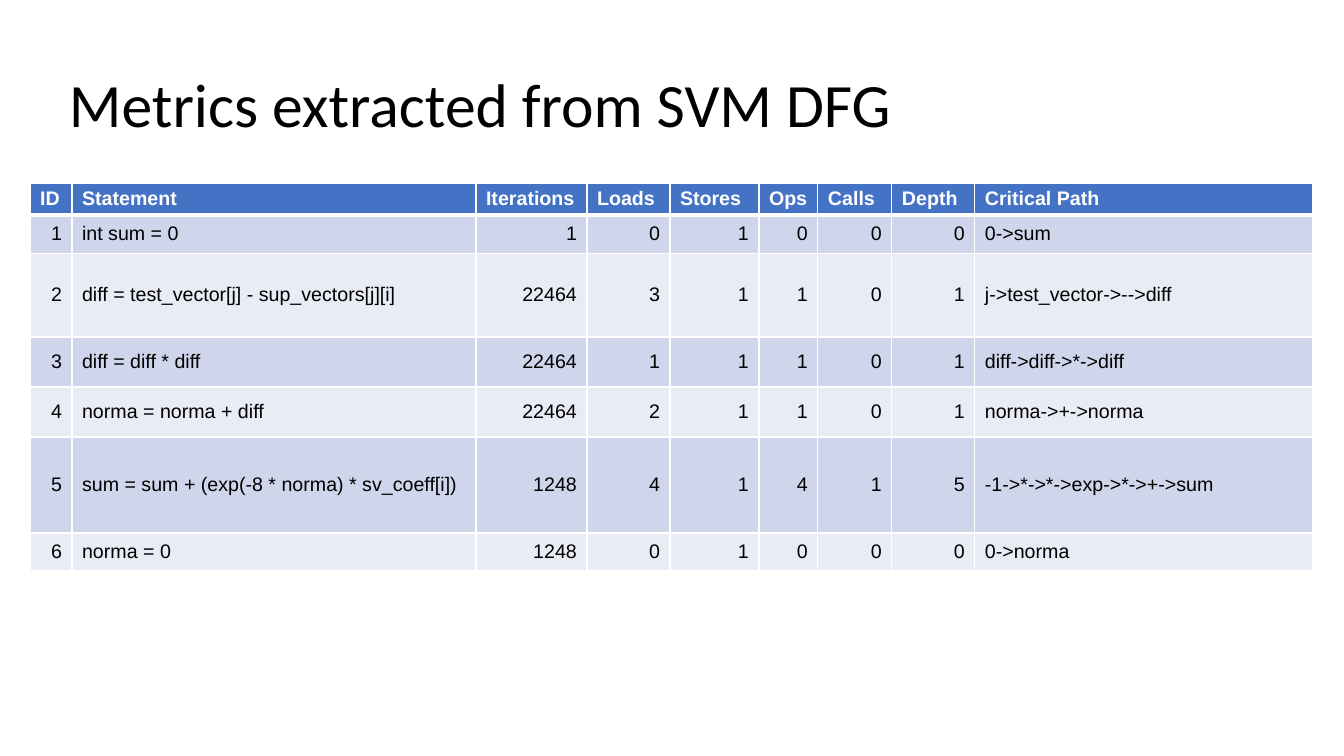
from lxml import etree
from pptx import Presentation, util as u
from pptx.dml.color import RGBColor
from pptx.enum import text
from pptx.oxml.ns import qn

TITLE = "Metrics extracted from SVM DFG"
ROWS = [
    ("ID", "Statement", "Iterations", "Loads", "Stores", "Ops", "Calls", "Depth", "Critical Path"),
    (1, "int sum = 0", 1, 0, 1, 0, 0, 0, "0->sum"),
    (2, "diff = test_vector[j] - sup_vectors[j][i]", 22464, 3, 1, 1, 0, 1, "j->test_vector->-->diff"),
    (3, "diff = diff * diff", 22464, 1, 1, 1, 0, 1, "diff->diff->*->diff"),
    (4, "norma = norma + diff", 22464, 2, 1, 1, 0, 1, "norma->+->norma"),
    (5, "sum = sum + (exp(-8 * norma) * sv_coeff[i])", 1248, 4, 1, 4, 1, 5, "-1->*->*->exp->*->+->sum"),
    (6, "norma = 0", 1248, 0, 1, 0, 0, 0, "0->norma"),
]
WIDTHS = (42, 404, 111, 83, 89, 59, 74, 83, 338)
HEIGHTS = (32, 38, 84, 50, 50, 96, 38)
HEAD, BANDS = "4472C4", ("E9EBF5", "CFD5EA")
WHITE, BLACK = "FFFFFF", "000000"


def px(n):
    return u.Emu(round(n * 914400 / 100.8))


def style(par, font, size, color, bold=False):
    for run in par.runs:
        run.font.name, run.font.size, run.font.bold = font, u.Pt(size), bold
        run.font.color.rgb = RGBColor.from_string(color)


def border(cell, row):
    """Draw white cell edges, thick between the header and the body."""
    props = cell._tc.get_or_add_tcPr()
    for side in "LRTB":
        thick = (row, side) in ((0, "B"), (1, "T"))
        line = etree.SubElement(props, qn("a:ln" + side), w=str(u.Pt(3 if thick else 1)))
        fill = etree.SubElement(line, qn("a:solidFill"))
        etree.SubElement(fill, qn("a:srgbClr"), val=WHITE)


prs = Presentation()
prs.slide_width, prs.slide_height = px(1344), px(756)
slide = prs.slides.add_slide(prs.slide_layouts[6])

grid = slide.shapes.add_table(len(ROWS), len(WIDTHS), px(30), px(183),
                              px(sum(WIDTHS)), px(sum(HEIGHTS))).table
for col, width in zip(grid.columns, WIDTHS):
    col.width = px(width)
for r, (values, height) in enumerate(zip(ROWS, HEIGHTS)):
    grid.rows[r].height = px(height)
    for c, value in enumerate(values):
        cell = grid.cell(r, c)
        cell.text = str(value)
        cell.vertical_anchor = text.MSO_ANCHOR.MIDDLE
        border(cell, r)
        cell.fill.solid()
        cell.fill.fore_color.rgb = RGBColor.from_string(BANDS[r % 2] if r else HEAD)
        par = cell.text_frame.paragraphs[0]
        if isinstance(value, int):
            par.alignment = text.PP_ALIGN.RIGHT
        style(par, "Arial", 14, BLACK if r else WHITE, r == 0)

frame = slide.shapes.add_textbox(px(59), 0, px(1159), px(146)).text_frame
frame.word_wrap = True
frame.vertical_anchor = text.MSO_ANCHOR.BOTTOM
frame.text = TITLE
frame.paragraphs[0].line_spacing = 0.9
style(frame.paragraphs[0], "Calibri", 44, BLACK)

prs.save("out.pptx")
